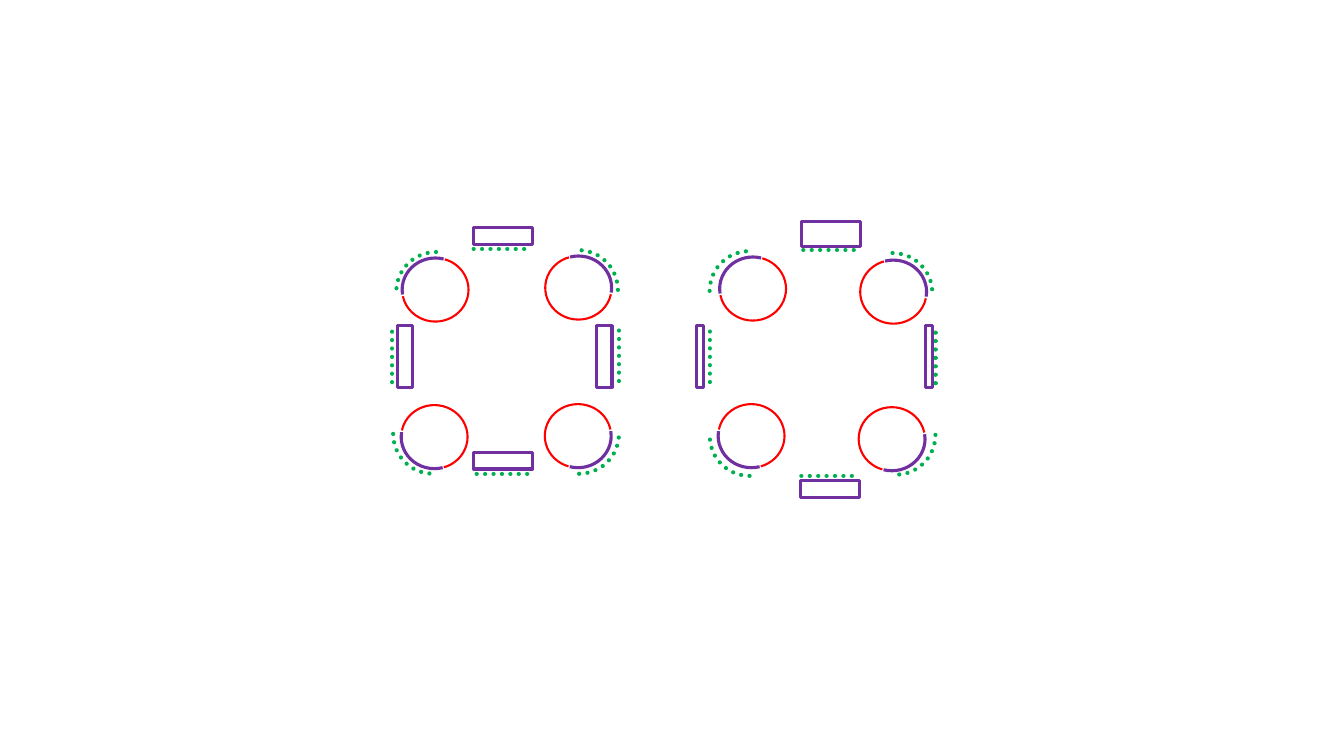
"""Draw two groups of ringed corners, bars and dotted paths on one slide."""
from lxml import etree
from pptx import Presentation
from pptx.dml.color import RGBColor
from pptx.enum.dml import MSO_LINE
from pptx.enum.shapes import MSO_CONNECTOR, MSO_SHAPE
from pptx.oxml.ns import qn
from pptx.util import Pt

ARC, RECT = MSO_SHAPE.ARC, MSO_SHAPE.RECTANGLE
STRAIGHT, DOT = MSO_CONNECTOR.STRAIGHT, MSO_LINE.ROUND_DOT
GREEN = RGBColor(0x00, 0xB0, 0x50)
PURPLE = RGBColor(0x70, 0x30, 0xA0)
RED = RGBColor(0xFF, 0x00, 0x00)

# left, top, turn, flip
CURVES = [
    (609.1, 180.7, 0, ""), (506.9, 179.3, 270, ""),
    (506.9, 283, 180, ""), (611.3, 282.2, 90, ""),
    (283, 180, 0, "H"), (384.5, 178.6, 90, "H"),
    (385.2, 281.5, 180, "H"), (280.8, 281.5, 270, "H"),
]
# start x, start y, direction x, direction y
PATHS = [
    (668.2, 237.6, 0, 1), (573.8, 178.6, 1, 0),
    (506.9, 272.9, 0, -1), (572.4, 339.8, 1, 0),
    (280.1, 236.9, 0, 1), (374.4, 177.8, -1, 0),
    (442.1, 272.2, 0, -1), (376.6, 338.4, -1, 0),
]
# left, top, height
FLAT_BARS = [(338.4, 323.3, 11.8), (572.4, 158.4, 18),
             (571.7, 343.4, 12.2), (338.4, 162.7, 11.8)]
# left, width
TALL_BARS = [(283.7, 11), (661, 5.2), (426.2, 11), (497.5, 5.2)]
# left, top, flip
RINGS = [
    (389.5, 182.9, ""), (614.5, 185.8, ""),
    (287.3, 184.3, "H"), (514.1, 183.6, "H"),
    (389.2, 288.7, "V"), (613.4, 290.9, "V"),
    (286.6, 289.4, "HV"), (513, 288.7, "HV"),
]
# start, end, colour, line width
PARTS = [(152.96, 4.93, PURPLE, 2.25), (6.73, 151.64, RED, 1.5)]

CURVE, REACH = 56.9, 40.3
LONG, BAR_TOP = 42, 232.6
RING_W, RING_H = 47.4, 45.4


def stroke(item, color, width, dots=False):
    """Style the line of a shape or connector."""
    item.line.color.rgb = color
    item.line.width = Pt(width)
    if dots:
        item.line.dash_style = DOT
        item.get_or_add_ln().set("cap", "rnd")


def add_form(slide, kind, box, color, width, turn=0, flip="", dots=False):
    """Add an unfilled outline."""
    form = slide.shapes.add_shape(kind, *map(Pt, box))
    form.shadow.inherit = False
    form.fill.background()
    stroke(form, color, width, dots)
    form.rotation = turn
    for axis in flip:
        form.element.spPr.xfrm.set("flip" + axis, "1")
    return form


def add_path(slide, x, y, dx, dy):
    """Add a straight dotted path."""
    ends = x, y, x + dx * REACH, y + dy * REACH
    line = slide.shapes.add_connector(STRAIGHT, *map(Pt, ends))
    stroke(line, GREEN, 3, dots=True)
    etree.SubElement(line.element.spPr, qn("a:effectLst"))


def main():
    deck = Presentation()
    deck.slide_width, deck.slide_height = Pt(960), Pt(540)
    slide = deck.slides.add_slide(deck.slide_layouts[6])

    for x, y, turn, flip in CURVES:
        add_form(slide, ARC, (x, y, CURVE, CURVE), GREEN, 3,
                 turn=turn, flip=flip, dots=True)
    for path in PATHS:
        add_path(slide, *path)

    bars = [(x, y, LONG, high) for x, y, high in FLAT_BARS]
    bars += [(x, BAR_TOP, wide, 44) for x, wide in TALL_BARS]
    for bar in bars:
        add_form(slide, RECT, bar, PURPLE, 2.25)

    for x, y, flip in RINGS:
        for start, end, color, width in PARTS:
            arc = add_form(slide, ARC, (x, y, RING_W, RING_H), color, width,
                           flip=flip)
            arc.adjustments[0], arc.adjustments[1] = start, end

    deck.save("out.pptx")


if __name__ == "__main__":
    main()
